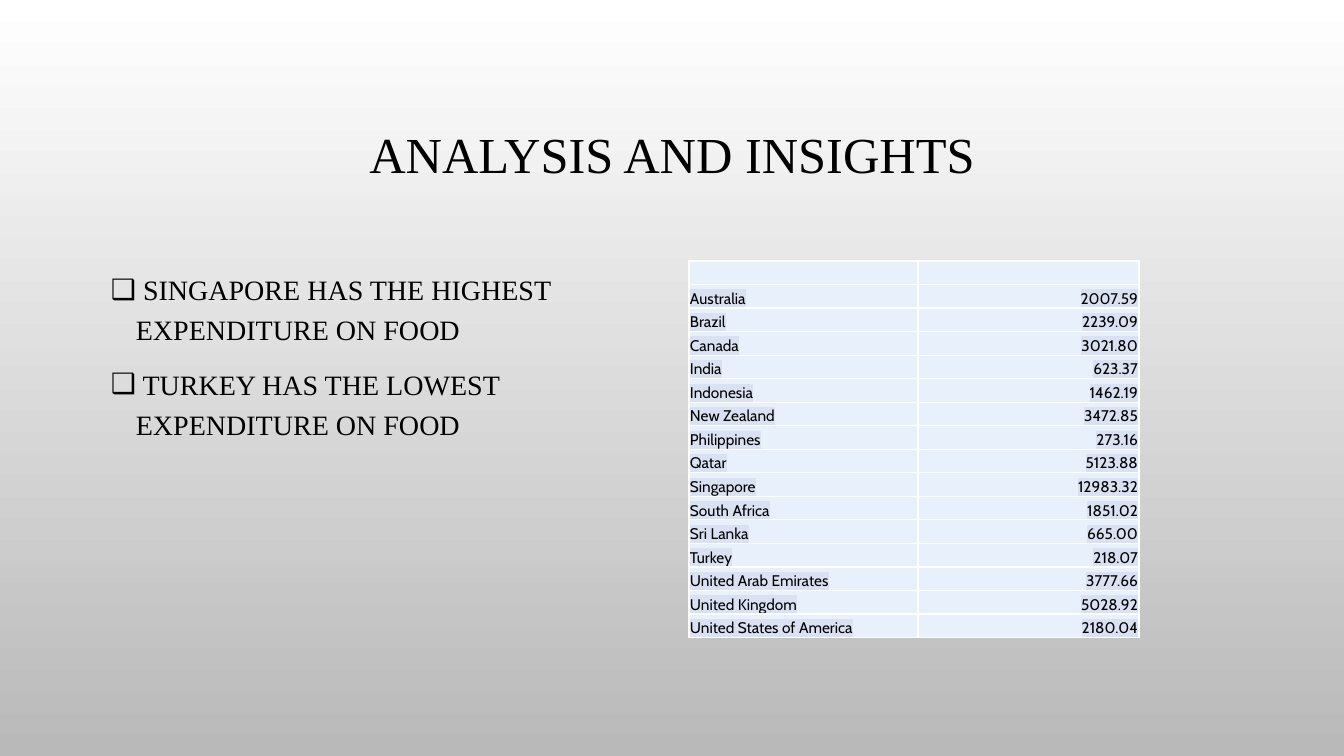
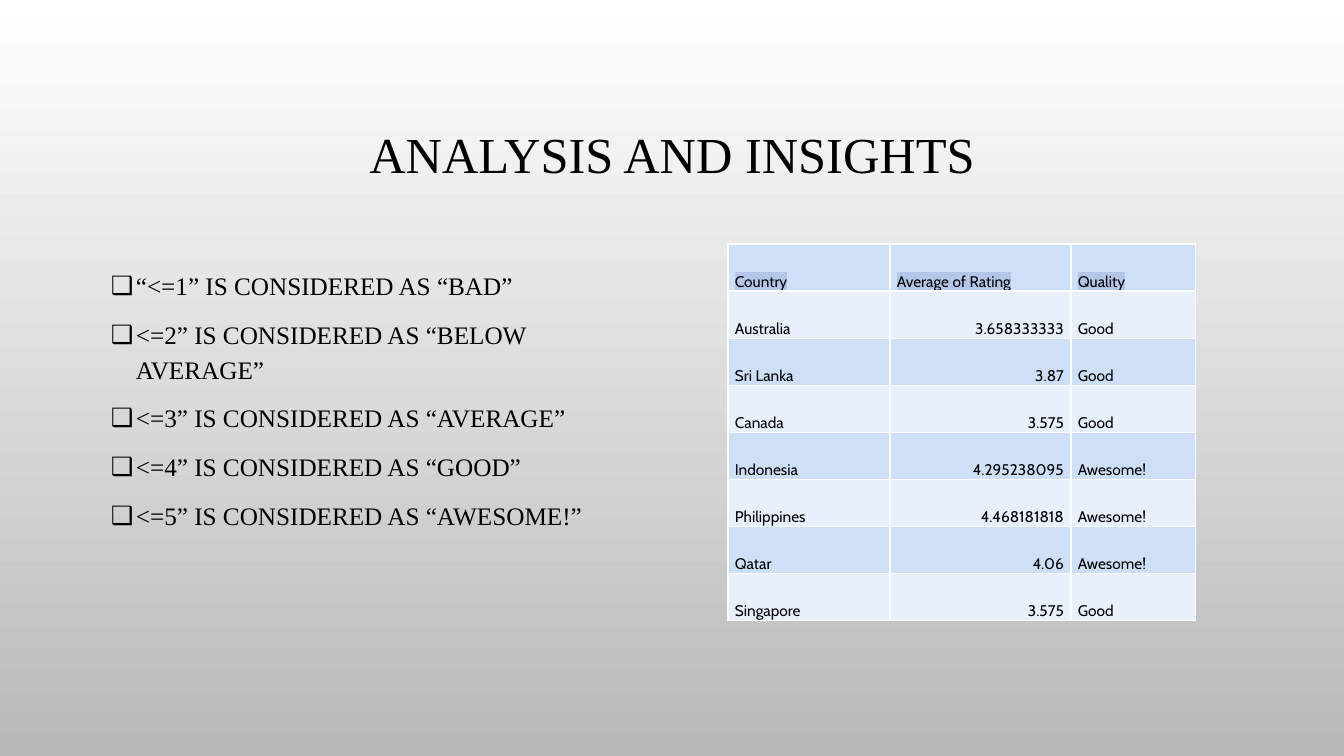
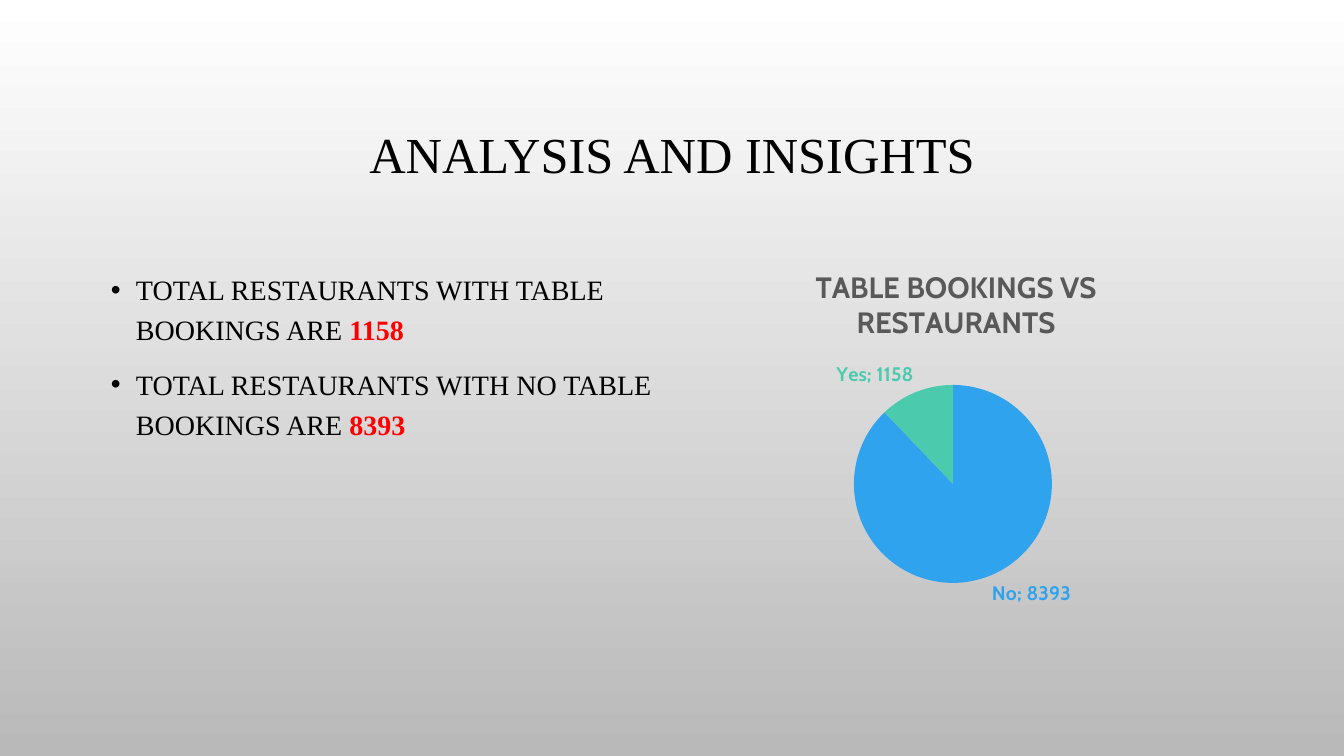
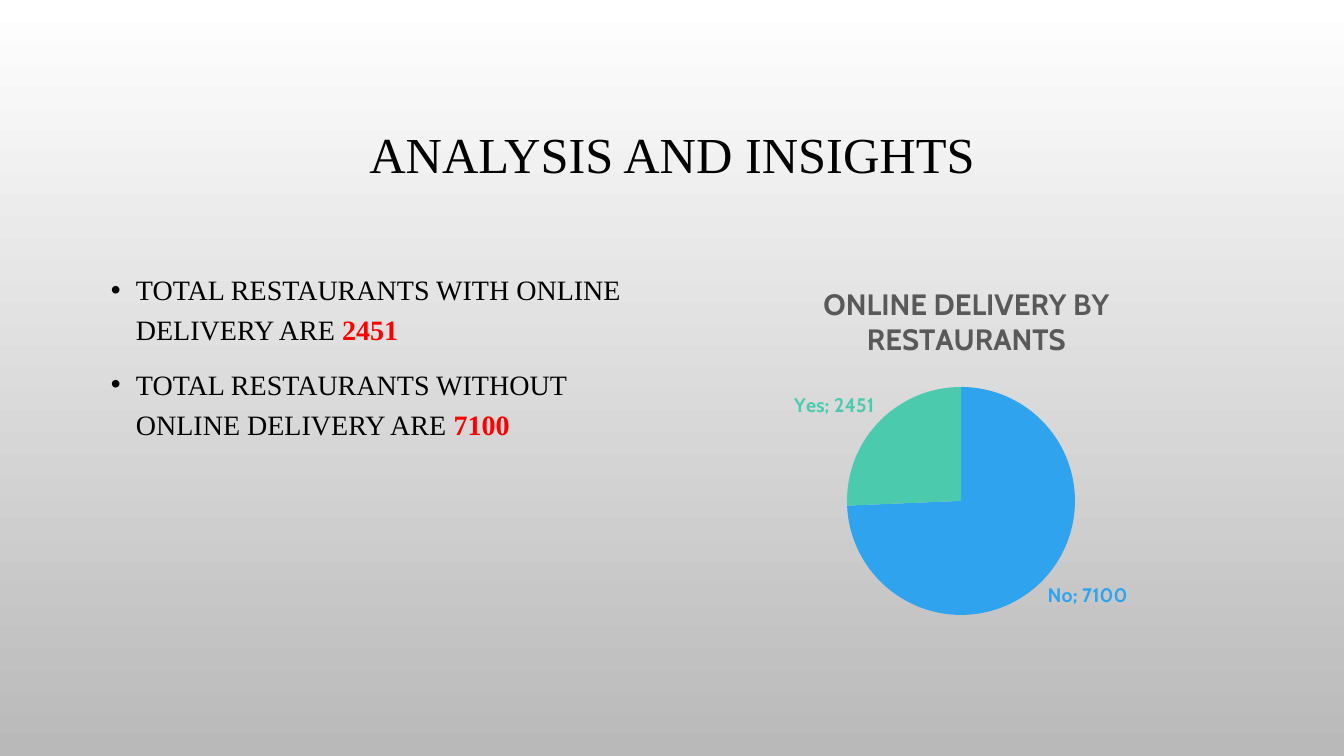
import lxml.etree
import pptx
import pptx.chart.data
import pptx.dml.color
import pptx.enum.chart
import pptx.enum.text
import pptx.oxml.ns
import pptx.util

SCALE = 914400 / 100.8
COLORS = {
    "top": "FFFFFF", "bottom": "B9B9B9", "text": "000000", "accent": "FF0000",
    "pale": "E8F0FC", "band": "CDE0F8", "border": "FFFFFF",
    "mark": "D9E1F2", "head_mark": "B4C6E7",
    "chart_title": "595959", "no": "2FA3EE", "yes": "4BCAAD",
}
SERIF, SANS = "Times New Roman", "Cabin"
TITLE_AREA = (101, 69, 1142, 176)
BODY_AREA = (101, 261, 562, 377)
ALIGN = pptx.enum.text.PP_ALIGN
ANCHOR = pptx.enum.text.MSO_ANCHOR


def px(length):
    return pptx.util.Emu(round(length * SCALE))


def rgb(name):
    return pptx.dml.color.RGBColor.from_string(COLORS[name])


def add_xml(parent, tag, **attributes):
    return lxml.etree.SubElement(parent, pptx.oxml.ns.qn(tag), attributes)


def style_font(font, face, size, color, bold=False):
    font.name, font.size, font.bold = face, pptx.util.Pt(size), bold
    font.color.rgb = rgb(color)


def set_layout(parent, index, **fractions):
    for old in parent.findall(pptx.oxml.ns.qn("c:layout")):
        parent.remove(old)
    layout = add_xml(parent, "c:layout")
    parent.insert(index, layout)
    manual = add_xml(layout, "c:manualLayout")
    if "w" in fractions:
        add_xml(manual, "c:layoutTarget", val="inner")
    for axis in "xy":
        add_xml(manual, f"c:{axis}Mode", val="edge")
    for key, value in fractions.items():
        add_xml(manual, f"c:{key}", val=f"{value:.4f}")


class Report:
    """Holds the shared style, the deck and the current page."""

    def __init__(self):
        self.deck = pptx.Presentation()
        self.deck.slide_width, self.deck.slide_height = px(1344), px(756)
        fill = self.deck.slide_master.background.fill
        fill.gradient()
        fill.gradient_angle = 270
        for stop, position, color in zip(fill.gradient_stops, (0, 1), ("top", "bottom")):
            stop.position, stop.color.rgb = position, rgb(color)

    def new_page(self, title):
        self.page = self.deck.slides.add_slide(self.deck.slide_layouts[6])
        frame = self.text_frame(TITLE_AREA)
        frame.vertical_anchor = ANCHOR.MIDDLE
        frame.text = title
        para = frame.paragraphs[0]
        para.alignment, para.line_spacing = ALIGN.CENTER, 0.9
        style_font(para.runs[0].font, SERIF, 36, "text")

    def text_frame(self, area):
        box = self.page.shapes.add_textbox(*map(px, area))
        box.text_frame.word_wrap = True
        return box.text_frame

    def bullets(self, items, mark="•", size=20, spacing=1.2):
        frame = self.text_frame(BODY_AREA)
        for number, (text, strong) in enumerate(items):
            para = frame.add_paragraph() if number else frame.paragraphs[0]
            para.text = text
            style_font(para.runs[0].font, SERIF, size, "text")
            if strong:
                span = para.add_run()
                span.text = strong
                style_font(span.font, SERIF, size, "accent", True)
            para.line_spacing, para.space_before = spacing, pptx.util.Pt(10)
            properties = para._p.get_or_add_pPr()
            properties.set("marL", str(px(25)))
            properties.set("indent", str(-px(25)))
            color = add_xml(properties, "a:buClr")
            add_xml(color, "a:srgbClr", val=COLORS["text"])
            add_xml(properties, "a:buFont", typeface="Arial")
            add_xml(properties, "a:buChar", char=mark)

    def table(self, left, top, widths, rows, fills, marks, insets, spacing):
        height = px(377)
        frame = self.page.shapes.add_table(
            len(rows), len(widths), px(left), px(top), px(sum(widths)), height)
        table = frame.table
        table.first_row = table.horz_banding = False
        for column, width in zip(table.columns, widths):
            column.width = px(width)
        for number, (row, values) in enumerate(zip(table.rows, rows)):
            row.height = height // len(rows)
            for column, (cell, value) in enumerate(zip(row.cells, values)):
                right = number > 0 and column == 1
                mark = marks[min(number, 1)]
                self.cell(cell, value, fills[number % len(fills)], mark, insets, right, spacing)

    def cell(self, cell, text, fill, mark, insets, right, spacing):
        (cell.margin_left, cell.margin_top,
         cell.margin_right, cell.margin_bottom) = map(px, insets)
        cell.vertical_anchor = ANCHOR.BOTTOM
        properties = cell._tc.get_or_add_tcPr()
        for side in "LRTB":
            line = add_xml(properties, f"a:ln{side}", w=str(pptx.util.Pt(1)))
            add_xml(add_xml(line, "a:solidFill"), "a:srgbClr", val=COLORS["border"])
        cell.fill.solid()
        cell.fill.fore_color.rgb = rgb(fill)
        para = cell.text_frame.paragraphs[0]
        para.alignment = ALIGN.RIGHT if right else ALIGN.LEFT
        para.line_spacing = spacing
        if not text:
            add_xml(para._p, "a:endParaRPr", sz="1100")
            return
        para.text = text
        font = para.runs[0].font
        style_font(font, SANS, 11, "text")
        if mark:
            solid = font._element.find(pptx.oxml.ns.qn("a:solidFill"))
            highlight = add_xml(font._element, "a:highlight")
            add_xml(highlight, "a:srgbClr", val=COLORS[mark])
            solid.addnext(highlight)

    def pie(self, left, top, title, counts, pie_top, diameter):
        width, height = 562, 377
        data = pptx.chart.data.CategoryChartData()
        data.categories = ["No", "Yes"]
        data.add_series("Series 1", counts)
        chart = self.page.shapes.add_chart(
            pptx.enum.chart.XL_CHART_TYPE.PIE, *map(px, (left, top, width, height)), data).chart
        style_font(chart.font, SANS, 10, "text")
        chart.has_legend = False
        frame = chart.chart_title.text_frame
        frame.text = title
        for para in frame.paragraphs:
            para.alignment = ALIGN.CENTER
            style_font(para.runs[0].font, SANS, 21, "chart_title", True)
        chart.chart_title.include_in_layout = False
        set_layout(chart.chart_title._element, 1, x=0.25, y=0.055)
        plot = chart.plots[0]
        plot.vary_by_categories = True
        for number, color in enumerate(("no", "yes")):
            point = plot.series[0].points[number]
            point.format.fill.solid()
            point.format.fill.fore_color.rgb = rgb(color)
            style_font(point.data_label.font, SANS, 14, color, True)
            point.data_label.position = pptx.enum.chart.XL_LABEL_POSITION.OUTSIDE_END
        for flag in plot._element.iter(pptx.oxml.ns.qn("c:showCatName")):
            flag.set("val", "1")
        set_layout(plot._element.getparent(), 0,
                   x=(width - diameter) / 2 / width, y=(pie_top - top) / height,
                   w=diameter / width, h=diameter / height)


SPENDING = [
    ("", ""), ("Australia", "2007.59"), ("Brazil", "2239.09"), ("Canada", "3021.80"),
    ("India", "623.37"), ("Indonesia", "1462.19"), ("New Zealand", "3472.85"),
    ("Philippines", "273.16"), ("Qatar", "5123.88"), ("Singapore", "12983.32"),
    ("South Africa", "1851.02"), ("Sri Lanka", "665.00"), ("Turkey", "218.07"),
    ("United Arab Emirates", "3777.66"), ("United Kingdom", "5028.92"),
    ("United States of America", "2180.04"),
]
RATINGS = [
    ("Country", "Average of Rating", "Quality"),
    ("Australia", "3.658333333", "Good"),
    ("Sri Lanka", "3.87", "Good"),
    ("Canada", "3.575", "Good"),
    ("Indonesia", "4.295238095", "Awesome!"),
    ("Philippines", "4.468181818", "Awesome!"),
    ("Qatar", "4.06", "Awesome!"),
    ("Singapore", "3.575", "Good"),
]
HEADING = "ANALYSIS AND INSIGHTS"


def main():
    report = Report()

    report.new_page(HEADING)
    report.bullets([(" SINGAPORE HAS THE HIGHEST EXPENDITURE ON FOOD", ""),
                    (" TURKEY HAS THE LOWEST EXPENDITURE ON FOOD", "")], mark="❑")
    report.table(689, 261, (229, 221), SPENDING, ("pale",), ("mark", "mark"), (1, 1, 1, 0), 1.0)

    report.new_page(HEADING)
    report.bullets([("“<=1” IS CONSIDERED AS “BAD”", ""),
                    ("<=2” IS CONSIDERED AS “BELOW AVERAGE”", ""),
                    ("<=3” IS CONSIDERED AS “AVERAGE”", ""),
                    ("<=4” IS CONSIDERED AS “GOOD”", ""),
                    ("<=5” IS CONSIDERED AS “AWESOME!”", "")], mark="❑", size=18, spacing=1.15)
    report.table(728, 244, (162, 181, 125), RATINGS, ("band", "pale"), ("head_mark", None),
                 (7, 0, 7, 0), 1.15)

    report.new_page(HEADING)
    report.bullets([("TOTAL RESTAURANTS WITH TABLE BOOKINGS ARE ", "1158"),
                    ("TOTAL RESTAURANTS WITH NO TABLE BOOKINGS ARE ", "8393")])
    report.pie(672, 244, "TABLE BOOKINGS VS\nRESTAURANTS", (8393, 1158), 385, 198)

    report.new_page(HEADING)
    report.bullets([("TOTAL RESTAURANTS WITH ONLINE DELIVERY ARE ", "2451"),
                    ("TOTAL RESTAURANTS WITHOUT ONLINE DELIVERY ARE ", "7100")])
    report.pie(680, 261, "ONLINE DELIVERY BY\nRESTAURANTS", (7100, 2451), 387, 228)

    report.deck.save("out.pptx")


if __name__ == "__main__":
    main()
